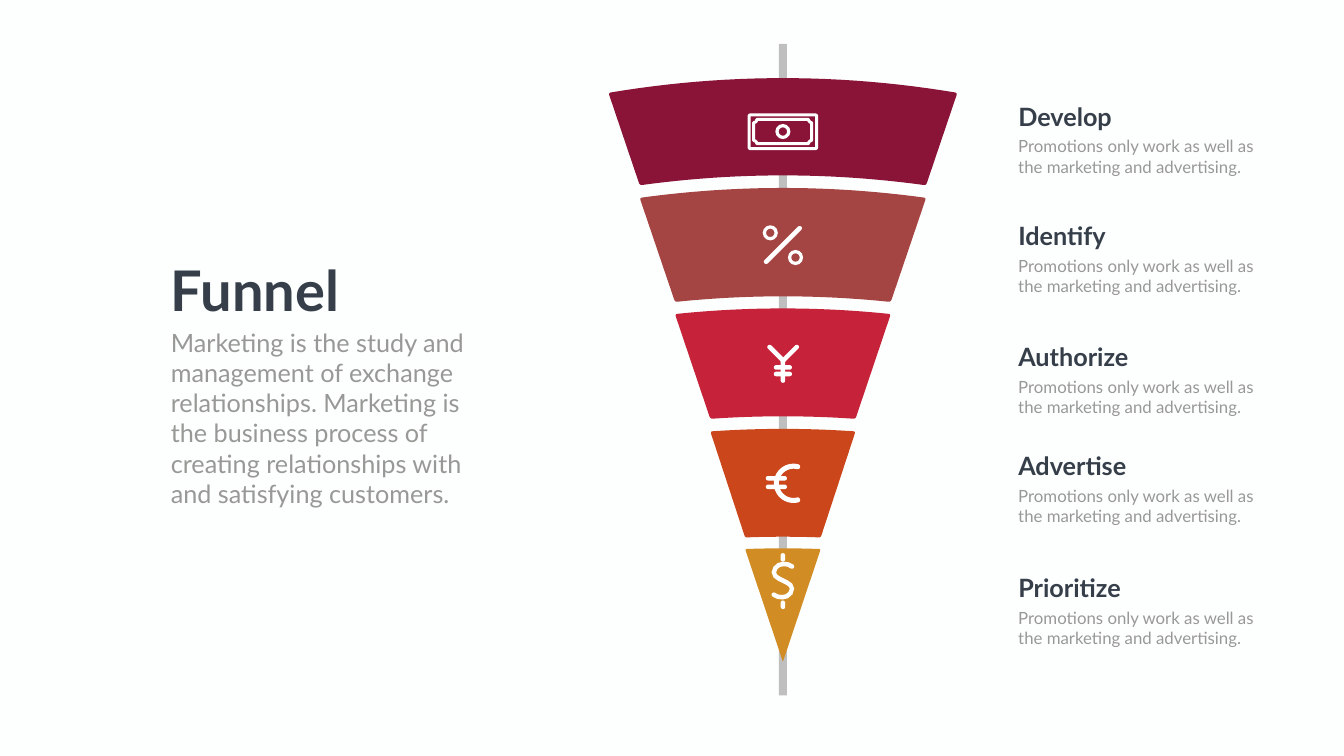
from math import atan2, cos, hypot, pi, radians, sin

from lxml import etree
from pptx import Presentation
from pptx.dml.color import RGBColor
from pptx.enum.shapes import MSO_SHAPE as Shape
from pptx.enum.text import MSO_AUTO_SIZE as AutoSize
from pptx.oxml.ns import qn
from pptx.util import Inches, Pt

PAPER = RGBColor(0xFD, 0xFF, 0xFE)
WHITE = RGBColor(0xFF, 0xFF, 0xFF)
AXIS_GRAY = RGBColor(0x80, 0x80, 0x80)
INK = RGBColor(0x35, 0x3E, 0x49)
MUTED = RGBColor(0x98, 0x99, 0x97)
WINE = RGBColor(0x8A, 0x13, 0x38)
BRICK = RGBColor(0xA5, 0x45, 0x43)
CRIMSON = RGBColor(0xC6, 0x22, 0x39)
ORANGE = RGBColor(0xCB, 0x46, 0x1B)
GOLD = RGBColor(0xD1, 0x8D, 0x24)

CENTER = 15.53
ARC_RADIUS = 20.5
BAR = 0.09
BANDS = [
    (1.55, 3.48, 3.46, WINE),
    (3.73, 5.88, 2.84, BRICK),
    (6.12, 8.26, 2.14, CRIMSON),
    (8.51, 10.65, 1.44, ORANGE),
    (10.88, 13.13, 0.75, GOLD),
]
STAGES = [
    ("Develop", 1.96),
    ("Identify", 4.33),
    ("Authorize", 6.73),
    ("Advertise", 8.89),
    ("Prioritize", 11.31),
]
STAGE_TEXT = "Promotions only work as well as the marketing and advertising."
INTRO = (
    "Marketing is the study and management of exchange relationships. "
    "Marketing is the business process of creating relationships with "
    "and satisfying customers."
)


def arc_points(middle_y, half, steps=24):
    offsets = [half * (2 * i / steps - 1) for i in range(steps + 1)]
    return [(CENTER + x, middle_y + x * x / (2 * ARC_RADIUS)) for x in offsets]


def rounded_corner(before, corner, after, radius=0.05):
    def toward(target):
        dx, dy = target[0] - corner[0], target[1] - corner[1]
        share = min(radius / hypot(dx, dy), 0.5)
        return corner[0] + dx * share, corner[1] + dy * share

    start, end = toward(before), toward(after)
    return [
        tuple((1 - t) ** 2 * a + 2 * t * (1 - t) * b + t * t * c
              for a, b, c in zip(start, corner, end))
        for t in (0, 0.25, 0.5, 0.75, 1)
    ]


def band_outline(top, bottom, top_half, bottom_half):
    upper = arc_points(top, top_half)
    if not bottom_half:
        lower = [(CENTER, bottom)]
    else:
        lower = arc_points(bottom, bottom_half)[::-1]
    corners = upper + lower
    sharp = {0, len(upper) - 1}
    if bottom_half:
        sharp |= {len(upper), len(corners) - 1}
    outline = []
    for i, point in enumerate(corners):
        if i in sharp:
            following = corners[(i + 1) % len(corners)]
            outline += rounded_corner(corners[i - 1], point, following)
        else:
            outline.append(point)
    return outline


def stroke_outline(points, width):
    reach = width / 2
    last = len(points) - 1
    angles = []
    for i in range(last + 1):
        (x1, y1), (x2, y2) = points[max(i - 1, 0)], points[min(i + 1, last)]
        angles.append(atan2(y2 - y1, x2 - x1))

    def shifted(i, turn):
        x, y = points[i]
        return x + reach * cos(angles[i] + turn), y + reach * sin(angles[i] + turn)

    caps = [pi / 2 - pi * step / 8 for step in range(1, 8)]
    left = [shifted(i, pi / 2) for i in range(last + 1)]
    right = [shifted(i, -pi / 2) for i in range(last, -1, -1)]
    end_cap = [shifted(last, turn) for turn in caps]
    start_cap = [shifted(0, turn + pi) for turn in caps]
    return left + end_cap + right + start_cap


class SlideWriter:
    font = "Lato"

    def __init__(self, deck):
        self.page = deck.slides.add_slide(deck.slide_layouts[6])
        self.page.background.fill.solid()
        self.page.background.fill.fore_color.rgb = PAPER

    def paint(self, shape, color):
        shape.shadow.inherit = False
        shape.fill.solid()
        shape.fill.fore_color.rgb = color
        shape.line.fill.background()
        return shape

    def preset(self, kind, left, top, width, height, color=WHITE, adjust=None):
        shape = self.page.shapes.add_shape(
            kind, Inches(left), Inches(top), Inches(width), Inches(height))
        if adjust is not None:
            shape.adjustments[0] = adjust
        return self.paint(shape, color)

    def axis(self, left, top, width, height):
        shape = self.preset(Shape.RECTANGLE, left, top, width, height, AXIS_GRAY)
        tint = shape.fill._xPr.find(qn("a:solidFill"))[0]
        etree.SubElement(tint, qn("a:alpha")).set("val", "50000")

    def outline(self, points, color=WHITE):
        corners = [(Inches(x), Inches(y)) for x, y in points]
        builder = self.page.shapes.build_freeform(*corners[0], scale=1.0)
        builder.add_line_segments(corners[1:], close=True)
        return self.paint(builder.convert_to_shape(), color)

    def bar(self, x, y, length, angle=0):
        shape = self.preset(Shape.ROUNDED_RECTANGLE, x - length / 2, y - BAR / 2,
                            length, BAR, adjust=0.5)
        shape.rotation = angle

    def ring(self, x, y, size=0.3):
        self.preset(Shape.DONUT, x - size / 2, y - size / 2, size, size, adjust=0.22)

    def frame(self, kind, left, top, width, height, adjust):
        shape = self.preset(kind, left, top, width, height, adjust=adjust)
        shape.fill.background()
        shape.line.color.rgb = WHITE
        shape.line.width = Inches(0.06)

    def text(self, words, left, top, width, height, size, color, bold=False, wrap=True):
        box = self.page.shapes.add_textbox(
            Inches(left), Inches(top), Inches(width), Inches(height))
        box.text_frame.word_wrap = wrap
        box.text_frame.auto_size = AutoSize.SHAPE_TO_FIT_TEXT
        para = box.text_frame.paragraphs[0]
        span = para.add_run()
        span.text = words
        span.font.name = self.font
        span.font.size = Pt(size)
        span.font.bold = bold
        span.font.color.rgb = color


def draw_icons(writer):
    writer.frame(Shape.ROUNDED_RECTANGLE, 14.86, 2.28, 1.34, 0.67, 0.04)
    writer.frame(Shape.PLAQUE, 14.95, 2.37, 1.15, 0.48, 0.13)
    writer.ring(CENTER, 2.61)

    writer.bar(CENTER, 4.86, 1.03, -45)
    writer.ring(15.28, 4.62)
    writer.ring(15.78, 5.11)

    writer.bar(15.4, 7.02, 0.47, 45)
    writer.bar(15.67, 7.02, 0.47, -45)
    writer.bar(CENTER, 7.35, 0.49, 90)
    for y in (7.29, 7.42):
        writer.bar(CENTER, y, 0.36)

    turns = [radians(angle) for angle in range(-76, -285, -8)]
    euro_curve = [(15.74 + 0.34 * cos(t), 9.59 + 0.34 * sin(t)) for t in turns]
    writer.outline(stroke_outline(euro_curve, 0.1))
    for y in (9.49, 9.66):
        writer.bar(15.4, y, 0.42)

    hook = [(0.18, -0.28), (0.1, -0.32), (0.01, -0.33), (-0.08, -0.31),
            (-0.15, -0.25), (-0.18, -0.16), (-0.15, -0.09), (-0.08, -0.04)]
    bends = hook + [(0, 0)] + [(-x, -y) for x, y in reversed(hook)]
    dollar_curve = [(CENTER + x, 11.52 + y) for x, y in bends]
    writer.outline(stroke_outline(dollar_curve, BAR))
    for y in (11.06, 12):
        writer.bar(CENTER, y, 0.17, 90)


def main():
    deck = Presentation()
    deck.slide_width, deck.slide_height = Inches(26.66), Inches(15)
    writer = SlideWriter(deck)
    writer.axis(15.45, 0.87, 0.16, 12.93)
    bottom_halves = [band[2] for band in BANDS[1:]] + [0]
    for (top, bottom, half, color), bottom_half in zip(BANDS, bottom_halves):
        writer.outline(band_outline(top, bottom, half, bottom_half), color)
    draw_icons(writer)
    for name, top in STAGES:
        writer.text(name, 20.1, top, 2.61, 0.71, 36, INK, bold=True)
        writer.text(STAGE_TEXT, 20.1, top + 0.69, 5.07, 0.91, 24, MUTED)
    writer.text("Funnel", 3.29, 5.02, 3.63, 1.45, 80, INK, bold=True, wrap=False)
    writer.text(INTRO, 3.29, 6.44, 6.54, 3.74, 36, MUTED)
    deck.save("out.pptx")


if __name__ == "__main__":
    main()
